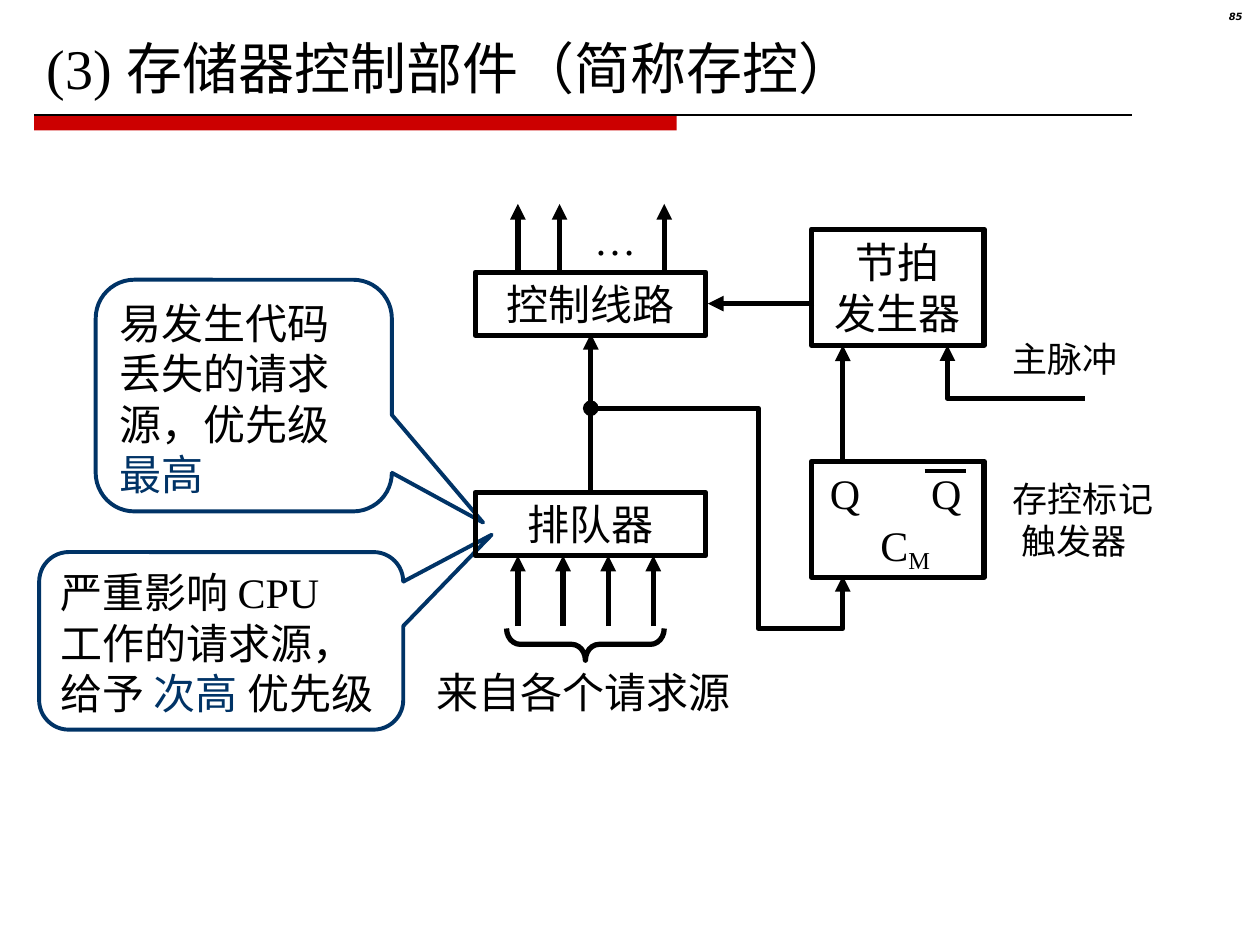
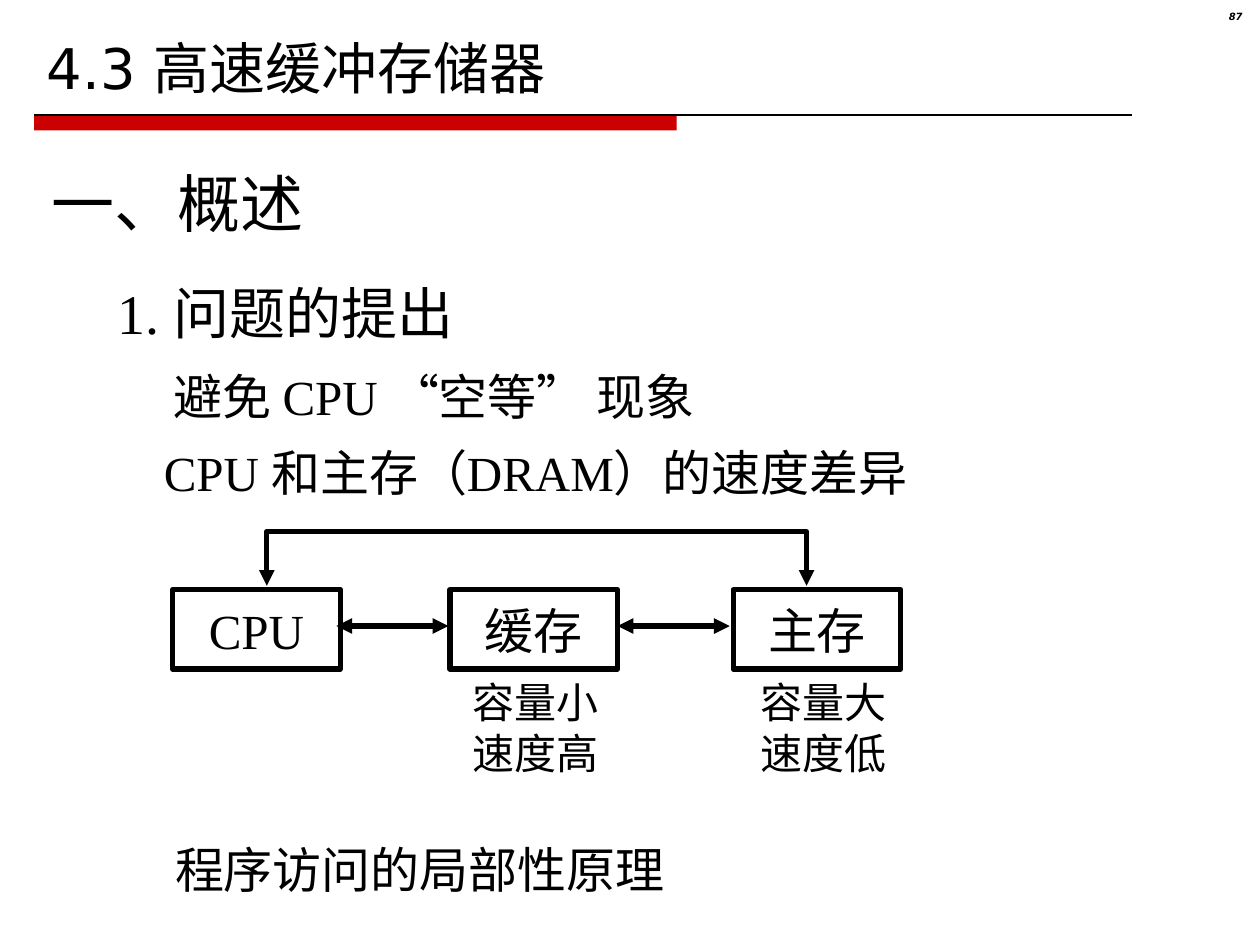
from dataclasses import dataclass

from lxml.etree import SubElement
from pptx import Presentation
from pptx.dml.color import RGBColor
from pptx.enum.lang import MSO_LANGUAGE_ID as Language
from pptx.enum.shapes import MSO_CONNECTOR as Connector, MSO_SHAPE as Shape
from pptx.enum.text import MSO_ANCHOR as Anchor, MSO_AUTO_SIZE as AutoSize, PP_ALIGN as Align
from pptx.oxml.ns import qn
from pptx.util import Cm, Pt


@dataclass(frozen=True)
class Theme:
    ink: RGBColor = RGBColor(0x00, 0x00, 0x00)
    accent: RGBColor = RGBColor(0x00, 0x33, 0x66)
    band: RGBColor = RGBColor(0xCC, 0x00, 0x00)
    serif: str = "Times New Roman"
    sans: str = "DejaVu Sans"
    section: int = 36
    title: int = 32
    large: int = 28
    medium: int = 24
    small: int = 20
    page_number: float = 5.7
    stroke: float = 3
    thin_stroke: float = 2.25
    hairline: float = 0.75


@dataclass(frozen=True)
class Span:
    text: str
    color: RGBColor = Theme.ink
    baseline: int = 0


class Deck:
    """Holds the presentation, its theme and the page being drawn."""

    def __init__(self, theme):
        self.theme = theme
        self.file = Presentation()
        self.file.slide_width, self.file.slide_height = Cm(25.4), Cm(19.05)
        self.page = None

    def new_page(self, layout, title, number, title_font):
        self.page = self.file.slides.add_slide(self.file.slide_layouts.get_by_name(layout))
        self.band()
        self.title(title, title_font)
        self.page_number(number)

    def band(self):
        bar = self.shape(Shape.RECTANGLE, 0.69, 2.32, 12.95, 0.31, self.theme.band)
        bar.fill.solid()
        bar.fill.fore_color.rgb = self.theme.band
        bar.line.fill.background()
        self.line((0.69, 2.32), (22.81, 2.32), width=self.theme.hairline)

    def title(self, text, font):
        holder = self.page.shapes.title
        self.place(holder, 0.69, 0.53, 24, 1.63)
        self.set_text(holder.text_frame, [text], self.theme.title, font=font,
                      anchor=Anchor.BOTTOM)

    def page_number(self, number):
        box = self.label([str(number)], 23.8, 0.13, 1.5, 0.58, size=self.theme.page_number,
                         font=self.theme.sans, align=Align.RIGHT)
        para = box.text_frame.paragraphs[0]
        para.line_spacing = 0.8
        para.runs[0].font.bold = para.runs[0].font.italic = True

    def outline(self, items, left, top, width, height):
        """Fill the body placeholder; items are (text, size, indent in cm, points before)."""
        body = self.page.placeholders[1]
        self.place(body, left, top, width, height)
        frame = body.text_frame
        self.prepare(frame, Anchor.TOP)
        for index, (text, size, indent, before) in enumerate(items):
            para = frame.paragraphs[0] if index == 0 else frame.add_paragraph()
            self.indent(para, indent)
            SubElement(para._p.get_or_add_pPr(), qn("a:buNone"))
            para.space_before = Pt(before)
            self.add_span(para, text, size, self.theme.serif)

    def label(self, lines, left, top, width, height=1.3, size=None, font=None, align=Align.LEFT):
        box = self.page.shapes.add_textbox(Cm(left), Cm(top), Cm(width), Cm(height))
        self.set_text(box.text_frame, lines, size or self.theme.medium, font, align)
        return box

    def block(self, lines, left, top, width, height, size=None):
        block = self.shape(Shape.RECTANGLE, left, top, width, height)
        self.set_text(block.text_frame, lines, size or self.theme.medium,
                      align=Align.CENTER, anchor=Anchor.MIDDLE)

    def callout(self, lines, left, top, width, height, pointer):
        bubble = self.shape(Shape.ROUNDED_RECTANGULAR_CALLOUT, left, top, width, height,
                            self.theme.accent, self.theme.thin_stroke)
        for index, value in enumerate((*pointer, 0.167)):
            bubble.adjustments[index] = value
        self.set_text(bubble.text_frame, lines, self.theme.medium)

    def brace_below(self, left, top, length, depth):
        """A brace that opens upwards and points down."""
        brace = self.shape(Shape.RIGHT_BRACE, left + (length - depth) / 2,
                           top - (length - depth) / 2, depth, length)
        brace.adjustments[0] = 0.43
        brace.rotation = 90

    def line(self, start, end, head=None, tail=None, width=None):
        ends = [Cm(value) for value in (*start, *end)]
        line = self.page.shapes.add_connector(Connector.STRAIGHT, *ends)
        self.stroke(line, self.theme.ink, width or self.theme.stroke)
        SubElement(line._element.spPr, qn("a:effectLst"))
        self.line_ends(line, head, tail)

    def arrow(self, start, end):
        self.line(start, end, tail="triangle")

    def elbow(self, points, head=None, tail=None):
        corners = [(Cm(x), Cm(y)) for x, y in points]
        builder = self.page.shapes.build_freeform(*corners[0])
        builder.add_line_segments(corners[1:], close=False)
        bend = builder.convert_to_shape()
        bend.shadow.inherit = False
        bend.fill.background()
        self.stroke(bend, self.theme.ink, self.theme.stroke)
        self.line_ends(bend, head, tail)

    def shape(self, kind, left, top, width, height, color=None, stroke=None):
        shape = self.page.shapes.add_shape(kind, Cm(left), Cm(top), Cm(width), Cm(height))
        shape.shadow.inherit = False
        shape.fill.background()
        self.stroke(shape, color or self.theme.ink, stroke or self.theme.stroke)
        return shape

    def set_text(self, frame, lines, size, font=None, align=Align.LEFT, anchor=Anchor.TOP):
        """Each line is a string or a list of spans."""
        self.prepare(frame, anchor)
        for index, spans in enumerate(lines):
            para = frame.paragraphs[0] if index == 0 else frame.add_paragraph()
            para.alignment = align
            for span in [Span(spans)] if isinstance(spans, str) else spans:
                self.add_span(para, span.text, size, font or self.theme.serif,
                              span.color, span.baseline)

    @staticmethod
    def add_span(para, text, size, font, color=Theme.ink, baseline=0):
        run = para.add_run()
        run.text = text
        run.font.size = Pt(size)
        run.font.name = font
        run.font.color.rgb = color
        run.font.language_id = Language.SIMPLIFIED_CHINESE
        if baseline:
            run._r.get_or_add_rPr().set("baseline", str(baseline * 1000))

    @staticmethod
    def prepare(frame, anchor):
        frame.word_wrap = True
        frame.auto_size = AutoSize.NONE
        frame.vertical_anchor = anchor

    @staticmethod
    def indent(para, distance):
        properties = para._p.get_or_add_pPr()
        properties.set("marL", str(Cm(distance)))
        properties.set("indent", "0")

    @staticmethod
    def place(holder, left, top, width, height):
        holder.left, holder.top = Cm(left), Cm(top)
        holder.width, holder.height = Cm(width), Cm(height)

    @staticmethod
    def stroke(shape, color, width):
        shape.line.color.rgb = color
        shape.line.width = Pt(width)

    @staticmethod
    def line_ends(shape, head, tail):
        outline = shape.line._get_or_add_ln()
        for tag, kind in (("a:headEnd", head), ("a:tailEnd", tail)):
            if kind:
                SubElement(outline, qn(tag), type=kind)


def draw_storage_control(deck):
    theme = deck.theme
    deck.new_page("Title Only", "(3) 存储器控制部件（简称存控）", 85, theme.serif)
    deck.callout(["易发生代码", "丢失的请求源，优先级", [Span("最高", theme.accent)]],
                 1.93, 5.64, 5.97, 4.67, (0.808, 0.548))
    deck.callout(["严重影响 CPU", "工作的请求源，",
                  [Span("给予 "), Span("次高 ", theme.accent), Span("优先级")]],
                 0.79, 11.13, 7.34, 3.58, (0.743, -0.598))

    deck.block(["控制线路"], 9.58, 5.49, 4.65, 1.27)
    deck.block(["排队器"], 9.58, 9.93, 4.65, 1.27)
    deck.block(["节拍", "发生器"], 16.36, 4.62, 3.48, 2.34)
    deck.shape(Shape.RECTANGLE, 16.36, 9.3, 3.48, 2.34)

    for left in (16.48, 18.52):
        deck.label(["Q"], left, 9.3, 1.3)
    deck.line((18.64, 9.5), (19.48, 9.5), width=theme.thin_stroke)
    deck.label([[Span("C"), Span("M", baseline=-20)]], 17.5, 10.34, 1.8)

    for index in range(4):
        request_x = 10.44 + 0.91 * index
        deck.arrow((request_x, 12.62), (request_x, 11.2))
    deck.brace_below(10.21, 12.67, 3.18, 0.64)
    deck.label(["来自各个请求源"], 8.56, 13.31, 6.8)

    for output_x in (10.44, 11.28, 13.39):
        deck.arrow((output_x, 5.54), (output_x, 4.11))
    deck.label(["…"], 11.73, 4.17, 1.4)

    deck.arrow((11.91, 9.93), (11.91, 6.73))
    deck.arrow((16.41, 6.12), (14.27, 6.12))
    deck.arrow((16.99, 9.3), (16.99, 6.96))
    deck.elbow([(21.87, 8.03), (19.1, 8.03), (19.1, 6.96)], tail="triangle")
    deck.elbow([(16.99, 11.61), (16.99, 12.67), (15.29, 12.67), (15.29, 8.23), (11.91, 8.23)],
               head="triangle", tail="oval")

    deck.label(["主脉冲"], 20.17, 6.68, 2.9, size=theme.small)
    flag = deck.label(["存控标记", "触发器"], 20.17, 9.5, 4.5, 1.96, size=theme.small)
    deck.indent(flag.text_frame.paragraphs[1], 0.18)


def draw_cache_overview(deck):
    theme = deck.theme
    deck.new_page("Title and Content", "4.3 高速缓冲存储器", 87, theme.sans)
    deck.outline([("一、概述", theme.section, 0, 0),
                  ("1. 问题的提出", theme.title, 1.32, 22),
                  ("避免 CPU “空等” 现象", theme.large, 2.46, 12),
                  ("CPU 和主存（DRAM）的速度差异", theme.large, 2.26, 10)],
                 0.79, 3.18, 22, 7.1)

    for name, left in (("CPU", 3.48), ("缓存", 9.07), ("主存", 14.78)):
        deck.block([name], left, 11.89, 3.38, 1.6, theme.large)
    deck.elbow([(16.26, 11.81), (16.26, 10.72), (5.38, 10.72), (5.38, 11.81)],
               head="triangle", tail="triangle")
    for start, end in ((6.78, 9.04), (12.45, 14.71)):
        deck.line((start, 12.62), (end, 12.62), head="triangle", tail="triangle")

    for traits, left in ((["容量小", "速度高"], 9.27), (["容量大", "速度低"], 15.09)):
        deck.label(traits, left, 13.52, 3.4, 2.29)
    deck.label(["程序访问的局部性原理"], 3.28, 16.79, 10.8, 1.45, size=theme.large)


def main():
    deck = Deck(Theme())
    draw_storage_control(deck)
    draw_cache_overview(deck)
    deck.file.save("out.pptx")


if __name__ == "__main__":
    main()
